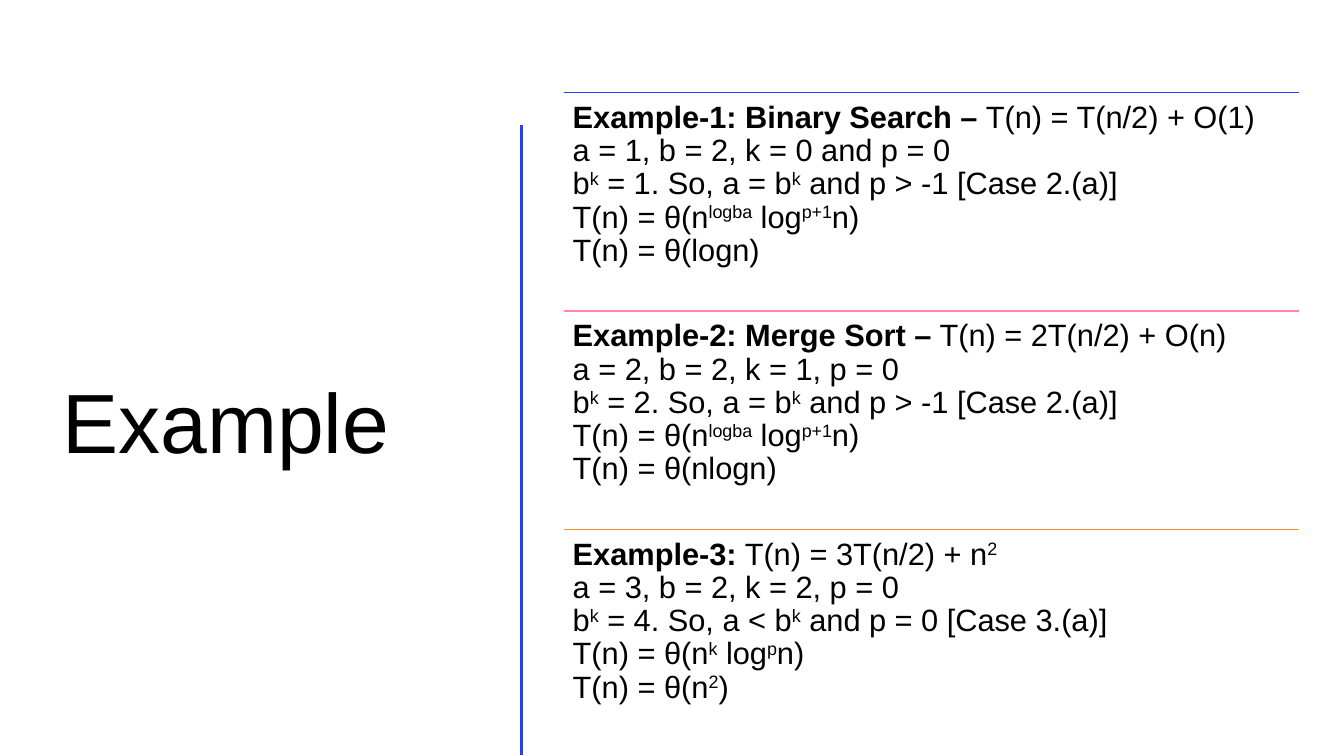
from lxml.etree import SubElement
from pptx import Presentation
from pptx.dml.color import RGBColor
from pptx.enum.shapes import MSO_CONNECTOR as Connector
from pptx.enum.text import MSO_ANCHOR as Anchor, MSO_AUTO_SIZE as AutoSize, PP_ALIGN as Align
from pptx.oxml.ns import qn
from pptx.util import Inches, Pt

COLORS = {"text": "000000", "blue": "243FFF", "pink": "FF83B6", "orange": "FF9022"}
FONT = "Arial"
EXAMPLES = [
    ("blue", "Example-1: Binary Search –", [
        " T(n) = T(n/2) + O(1)",
        "a = 1, b = 2, k = 0 and p = 0",
        "b^k^ = 1. So, a = b^k^ and p > -1 [Case 2.(a)]",
        "T(n) = θ(n^logba^ log^p+1^n)",
        "T(n) = θ(logn)"]),
    ("pink", "Example-2: Merge Sort –", [
        " T(n) = 2T(n/2) + O(n)",
        "a = 2, b = 2, k = 1, p = 0",
        "b^k^ = 2. So, a = b^k^ and p > -1 [Case 2.(a)]",
        "T(n) = θ(n^logba^ log^p+1^n)",
        "T(n) = θ(nlogn)"]),
    ("orange", "Example-3:", [
        " T(n) = 3T(n/2) + n^2^",
        "a = 3, b = 2, k = 2, p = 0",
        "b^k^ = 4. So, a < b^k^ and p = 0 [Case 3.(a)]",
        "T(n) = θ(n^k^ log^p^n)",
        "T(n) = θ(n^2^)"]),
]


def style_run(r, size, bold=False):
    """Apply the slide's font to a run."""
    r.font.name = FONT
    r.font.size = Pt(size)
    r.font.bold = bold
    r.font.color.rgb = RGBColor.from_string(COLORS["text"])


def add_rule(s, x1, y1, x2, y2, color, weight):
    """Draw a straight line without a shadow."""
    line = s.shapes.add_connector(Connector.STRAIGHT, Inches(x1), Inches(y1),
                                  Inches(x2), Inches(y2))
    line.line.color.rgb = RGBColor.from_string(COLORS[color])
    line.line.width = Pt(weight)
    SubElement(line._element.spPr, qn("a:effectLst"))


def add_formula(p, text):
    """Add one line of text, raising the parts between carets."""
    for i, part in enumerate(text.split("^")):
        if part:
            r = p.add_run()
            r.text = part
            style_run(r, 22)
            if i % 2:
                r._r.get_or_add_rPr().set("baseline", "30000")


def add_title(s, x, y, w, h, text):
    """Place the slide title in its box."""
    sp = s.shapes.title
    sp.left, sp.top, sp.width, sp.height = map(Inches, (x, y, w, h))
    tf = sp.text_frame
    tf.text = text
    tf.auto_size = AutoSize.NONE
    tf.vertical_anchor = Anchor.MIDDLE
    p = tf.paragraphs[0]
    p.alignment = Align.LEFT
    p.line_spacing = 0.9
    style_run(p.runs[0], 60)


def add_example(s, x, y, w, h, color, heading, lines):
    """Place one ruled example in its box."""
    add_rule(s, x, y, x + w, y, color, 1)
    tf = s.shapes.add_textbox(*map(Inches, (x, y, w, h))).text_frame
    tf.word_wrap = True
    tf.margin_left = tf.margin_right = tf.margin_top = tf.margin_bottom = Inches(0.09)
    p = tf.paragraphs[0]
    p.line_spacing = 0.9
    r = p.add_run()
    r.text = heading
    style_run(r, 22, bold=True)
    for i, line in enumerate(lines):
        if i:
            p.add_line_break()
        add_formula(p, line)


def add_examples(s, x, y, w, h):
    """Stack the examples evenly in the given box."""
    step = h / len(EXAMPLES)
    for i, (color, heading, lines) in enumerate(EXAMPLES):
        add_example(s, x, y + i * step, w, step, color, heading, lines)


def main():
    """Build and save the slide."""
    prs = Presentation()
    prs.slide_width, prs.slide_height = Inches(13.33), Inches(7.5)
    s = prs.slides.add_slide(prs.slide_layouts[5])
    add_title(s, 0.52, 1.17, 4.31, 6.11, "Example")
    add_rule(s, 5.17, 1.24, 5.17, 7.49, "blue", 2)
    add_examples(s, 5.59, 0.92, 7.29, 6.5)
    prs.save("out.pptx")


if __name__ == "__main__":
    main()
